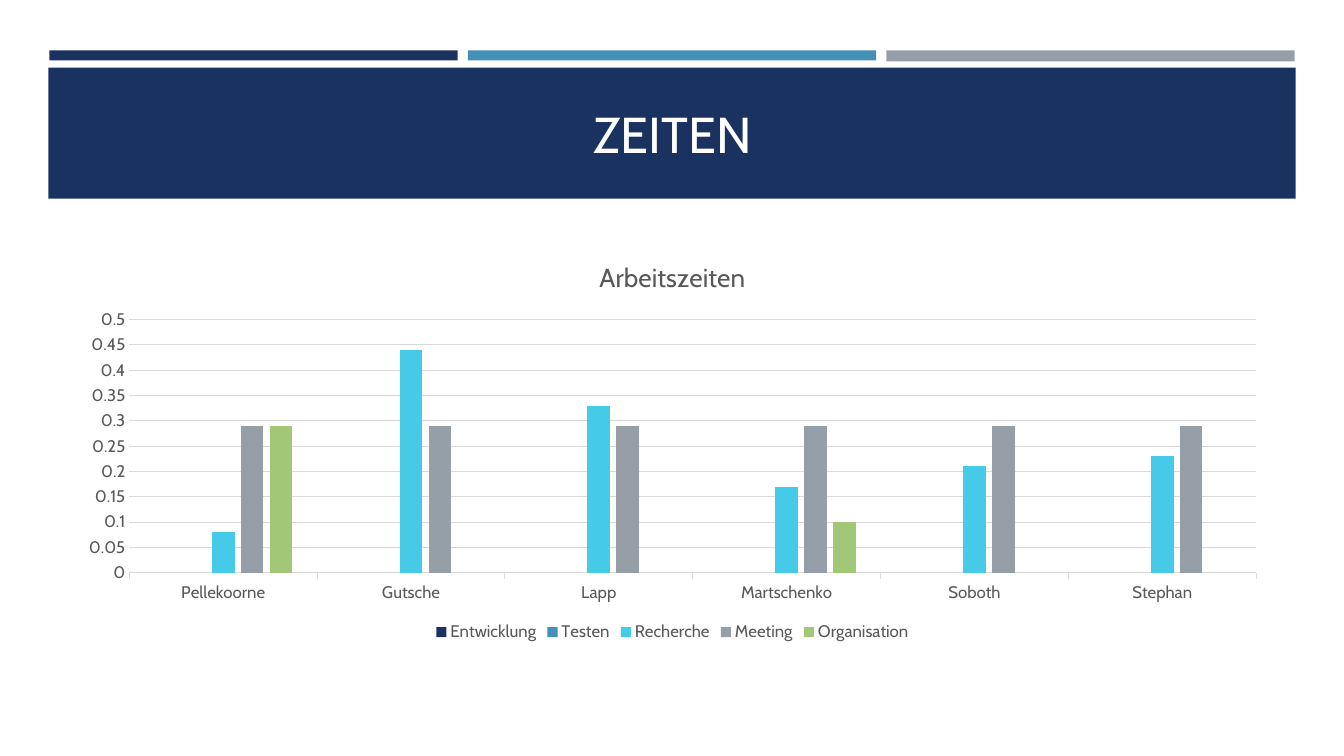
from dataclasses import dataclass
from typing import Optional

import pptx
import pptx.chart.axis
import pptx.chart.data
import pptx.dml.color
import pptx.enum.chart
import pptx.enum.shapes
import pptx.enum.text
import pptx.slide
import pptx.text.text
import pptx.util
from pptx.util import Inches

FONT = "Cabin"
COLORS = {
    "navy": "1A3260",
    "blue": "4590B8",
    "cyan": "45CBE8",
    "gray": "969FA7",
    "green": "A2C777",
    "white": "FFFFFF",
    "text": "595959",
    "grid": "D9D9D9",
}


@dataclass
class Block:
    left: float
    top: float
    width: float
    height: float
    color: str


@dataclass
class Series:
    name: str
    color: str
    values: list[Optional[float]]


STRIPE_WIDTH, STRIPE_PITCH = 4.05, 4.15
BLOCKS = [
    Block(0.49 + i * STRIPE_PITCH, 0.5, STRIPE_WIDTH, height, color)
    for i, (color, height) in enumerate([("navy", 0.1), ("blue", 0.1), ("gray", 0.11)])
] + [Block(0.48, 0.67, 12.37, 1.3, "navy")]

PEOPLE = ["Pellekoorne", "Gutsche", "Lapp", "Martschenko", "Soboth", "Stephan"]
SERIES = [
    Series("Entwicklung", "navy", [None] * len(PEOPLE)),
    Series("Testen", "blue", [None] * len(PEOPLE)),
    Series("Recherche", "cyan", [0.08, 0.44, 0.33, 0.17, 0.21, 0.23]),
    Series("Meeting", "gray", [0.29] * len(PEOPLE)),
    Series("Organisation", "green", [0.29, None, None, 0.1, None, None]),
]


def rgb(name: str) -> pptx.dml.color.RGBColor:
    return pptx.dml.color.RGBColor.from_string(COLORS[name])


def style_font(font: pptx.text.text.Font, size: float, color: str) -> None:
    font.name = FONT
    font.size = pptx.util.Pt(size)
    font.bold = False
    font.color.rgb = rgb(color)


def add_block(s: pptx.slide.Slide, block: Block) -> None:
    sp = s.shapes.add_shape(
        pptx.enum.shapes.MSO_SHAPE.RECTANGLE,
        Inches(block.left), Inches(block.top), Inches(block.width), Inches(block.height),
    )
    sp.shadow.inherit = False
    sp.fill.solid()
    sp.fill.fore_color.rgb = rgb(block.color)
    sp.line.fill.background()


def add_title(s: pptx.slide.Slide, text: str) -> None:
    sp = s.shapes.add_textbox(Inches(0.64), Inches(0.77), Inches(12.06), Inches(1.11))
    tf = sp.text_frame
    tf.word_wrap = True
    tf.vertical_anchor = pptx.enum.text.MSO_ANCHOR.MIDDLE
    p = tf.paragraphs[0]
    p.alignment = pptx.enum.text.PP_ALIGN.CENTER
    r = p.add_run()
    r.text = text
    style_font(r.font, 36, "white")


def style_line(line: pptx.dml.line.LineFormat) -> None:
    line.color.rgb = rgb("grid")
    line.width = pptx.util.Pt(0.75)


def add_hours_chart(s: pptx.slide.Slide) -> None:
    """Add the clustered columns of working time per person."""
    data = pptx.chart.data.CategoryChartData()
    data.categories = PEOPLE
    for series in SERIES:
        data.add_series(series.name, series.values)
    chart = s.shapes.add_chart(
        pptx.enum.chart.XL_CHART_TYPE.COLUMN_CLUSTERED,
        Inches(0.64), Inches(2.39), Inches(12.06), Inches(4.02), data,
    ).chart
    style_font(chart.font, 12, "text")

    chart.has_title = True
    r = chart.chart_title.text_frame.paragraphs[0].add_run()
    r.text = "Arbeitszeiten"
    style_font(r.font, 18.6, "text")
    chart.chart_title.include_in_layout = False

    chart.has_legend = True
    chart.legend.position = pptx.enum.chart.XL_LEGEND_POSITION.BOTTOM
    chart.legend.include_in_layout = False
    style_font(chart.legend.font, 12, "text")

    plot = chart.plots[0]
    plot.gap_width = 219
    plot.overlap = -27
    plot.vary_by_categories = False
    for column, series in zip(plot.series, SERIES):
        column.format.fill.solid()
        column.format.fill.fore_color.rgb = rgb(series.color)

    for axis in (chart.category_axis, chart.value_axis):
        style_font(axis.tick_labels.font, 12, "text")
    style_line(chart.category_axis.format.line)
    value_axis = chart.value_axis
    value_axis.minimum_scale, value_axis.maximum_scale = 0, 0.5
    value_axis.major_unit = 0.05
    value_axis.major_tick_mark = pptx.enum.chart.XL_TICK_MARK.NONE
    value_axis.format.line.fill.background()
    value_axis.has_major_gridlines = True
    style_line(value_axis.major_gridlines.format.line)


def main() -> None:
    prs = pptx.Presentation()
    prs.slide_width, prs.slide_height = Inches(13.33), Inches(7.5)
    s = prs.slides.add_slide(prs.slide_layouts[6])
    for block in BLOCKS:
        add_block(s, block)
    add_title(s, "ZEITEN")
    add_hours_chart(s)
    prs.save("out.pptx")


if __name__ == "__main__":
    main()
